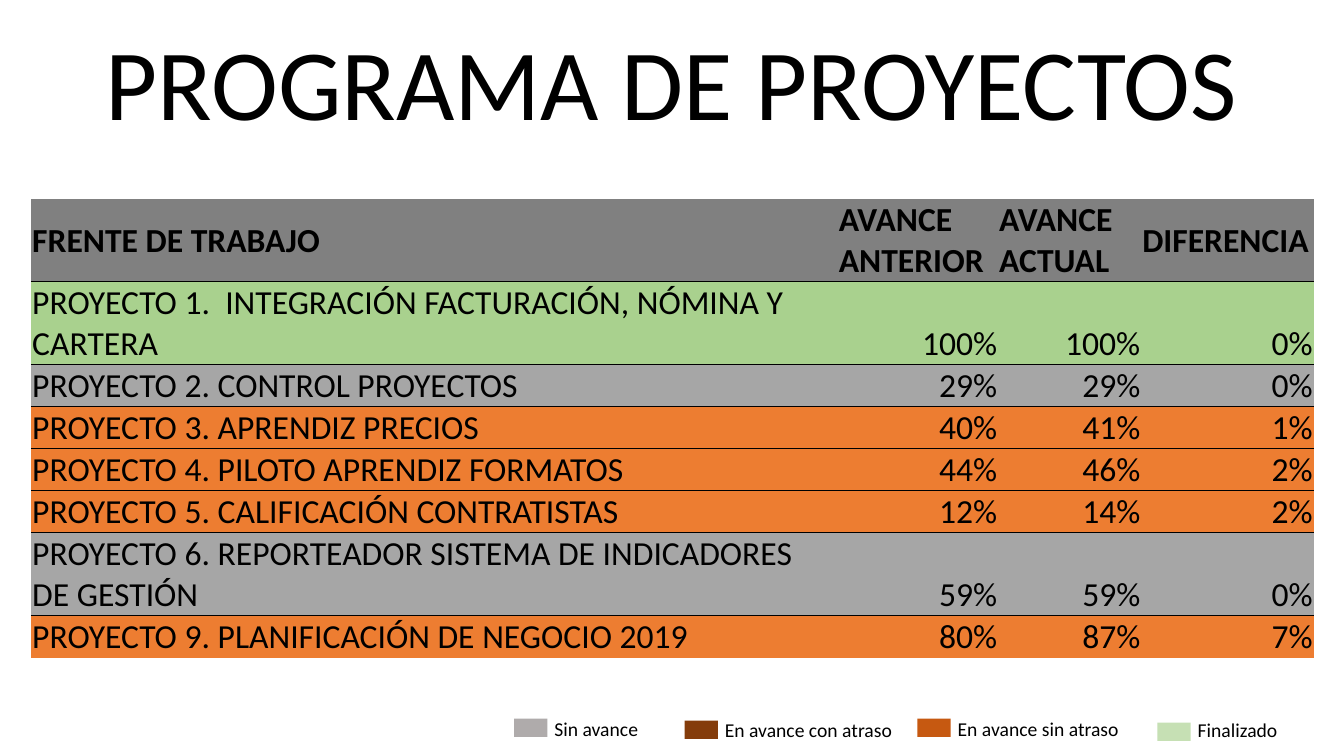
from lxml import etree
from pptx import Presentation
from pptx.dml.color import RGBColor
from pptx.enum.shapes import MSO_SHAPE
from pptx.enum.text import MSO_ANCHOR, PP_ALIGN
from pptx.oxml import parse_xml
from pptx.oxml.ns import nsdecls, qn
from pptx.util import Inches, Pt

FONT = "Calibri"
COLORS = {
    "text": "000000",
    "header": "808080",
    "done": "A9D18E",
    "stalled": "A6A6A6",
    "moving": "ED7D31",
    "key_stalled": "AFABAB",
    "key_late": "843C0B",
    "key_on_time": "C65911",
    "key_done": "C6E0B4",
}
NO_GRID_STYLE = "{2D5ABB26-0587-4C30-8999-92F81FD0307C}"

HEADINGS = ("FRENTE DE TRABAJO", "AVANCE ANTERIOR", "AVANCE ACTUAL", "DIFERENCIA")
PROJECTS = [
    ("done", "PROYECTO 1.  INTEGRACIÓN FACTURACIÓN, NÓMINA Y CARTERA", 100, 100),
    ("stalled", "PROYECTO 2. CONTROL PROYECTOS", 29, 29),
    ("moving", "PROYECTO 3. APRENDIZ PRECIOS", 40, 41),
    ("moving", "PROYECTO 4. PILOTO APRENDIZ FORMATOS", 44, 46),
    ("moving", "PROYECTO 5. CALIFICACIÓN CONTRATISTAS", 12, 14),
    ("stalled", "PROYECTO 6. REPORTEADOR SISTEMA DE INDICADORES DE GESTIÓN", 59, 59),
    ("moving", "PROYECTO 9. PLANIFICACIÓN DE NEGOCIO 2019", 80, 87),
]
COLUMN_WIDTHS = (8, 1.59, 1.42, 1.71)
ONE_LINE, TWO_LINES = 0.41, 0.81
TWO_LINE_ROWS = (0, 1, 6)

# label, colour, left, swatch top, label top and label width within the legend
LEGEND = [
    ("Sin avance", "key_stalled", 0, 0.07, 0, 1.93),
    ("En avance con atraso", "key_late", 1.69, 0.09, 0.01, 1.93),
    ("En avance sin atraso", "key_on_time", 4, 0.07, 0, 1.93),
    ("Finalizado", "key_done", 6.38, 0.11, 0.01, 1.02),
]


def rgb(name):
    return RGBColor.from_string(COLORS[name])


def style_text(paragraph, size, bold=False):
    for run in paragraph.runs:
        run.font.name = FONT
        run.font.size = Pt(size)
        run.font.bold = bold
        run.font.color.rgb = rgb("text")


def add_heading(slide, left, top, width, height):
    heading = slide.shapes.title
    heading.left, heading.top = Inches(left), Inches(top)
    heading.width, heading.height = Inches(width), Inches(height)
    heading.text_frame.text = "PROGRAMA DE PROYECTOS"
    heading.text_frame.vertical_anchor = MSO_ANCHOR.TOP
    paragraph = heading.text_frame.paragraphs[0]
    paragraph.alignment = PP_ALIGN.CENTER
    style_text(paragraph, 72)


def add_rule(cell, side):
    """Draw a thin line on one side ('T' or 'B') of a cell."""
    cell._tc.get_or_add_tcPr().append(parse_xml(
        f'<a:ln{side} {nsdecls("a")} w="6350"><a:solidFill>'
        f'<a:srgbClr val="{COLORS["text"]}"/></a:solidFill></a:ln{side}>'))


def fill_cell(cell, text, color, is_header, is_value):
    cell.margin_left = cell.margin_right = cell.margin_top = Inches(0.01)
    cell.margin_bottom = 0
    cell.vertical_anchor = MSO_ANCHOR.MIDDLE if is_header else MSO_ANCHOR.BOTTOM
    cell.fill.solid()
    cell.fill.fore_color.rgb = rgb(color)
    cell.text_frame.text = text
    paragraph = cell.text_frame.paragraphs[0]
    paragraph.alignment = PP_ALIGN.RIGHT if is_value else PP_ALIGN.LEFT
    style_text(paragraph, 24, bold=is_header)


def add_progress_table(slide, left, top):
    rows = [("header", HEADINGS)]
    for status, project, before, now in PROJECTS:
        rows.append((status, (project, f"{before}%", f"{now}%", f"{now - before}%")))
    heights = [TWO_LINES if i in TWO_LINE_ROWS else ONE_LINE for i in range(len(rows))]

    table = slide.shapes.add_table(
        len(rows), len(HEADINGS), Inches(left), Inches(top),
        Inches(sum(COLUMN_WIDTHS)), Inches(sum(heights))).table
    table.first_row = table.horz_banding = False
    table._tbl.tblPr.find(qn("a:tableStyleId")).text = NO_GRID_STYLE
    for column, width in zip(table.columns, COLUMN_WIDTHS):
        column.width = Inches(width)

    for r, (color, texts) in enumerate(rows):
        table.rows[r].height = Inches(heights[r])
        for c, text in enumerate(texts):
            cell = table.cell(r, c)
            if r > 0:
                add_rule(cell, "T")
            if r < len(rows) - 1:
                add_rule(cell, "B")
            fill_cell(cell, text, color, r == 0, r > 0 and c > 0)


def add_legend(slide, left, top):
    for label, color, x, swatch_top, label_top, width in LEGEND:
        swatch = slide.shapes.add_shape(
            MSO_SHAPE.RECTANGLE, Inches(left + x), Inches(top + swatch_top),
            Inches(0.33), Inches(0.18))
        swatch.shadow.inherit = False
        swatch.fill.solid()
        swatch.fill.fore_color.rgb = rgb(color)
        swatch.line.fill.background()

        caption = slide.shapes.add_textbox(
            Inches(left + x + 0.3), Inches(top + label_top), Inches(width), Inches(0.34))
        caption.text_frame.word_wrap = True
        caption.text_frame.text = label
        style_text(caption.text_frame.paragraphs[0], 14)


def main():
    deck = Presentation()
    deck.slide_width, deck.slide_height = Inches(13.33), Inches(7.5)
    slide = deck.slides.add_slide(deck.slide_layouts[5])
    add_heading(slide, 0.61, 0.15, 12.1, 1.31)
    add_progress_table(slide, 0.31, 1.97)
    add_legend(slide, 5.1, 7.06)
    deck.save("out.pptx")


if __name__ == "__main__":
    main()
